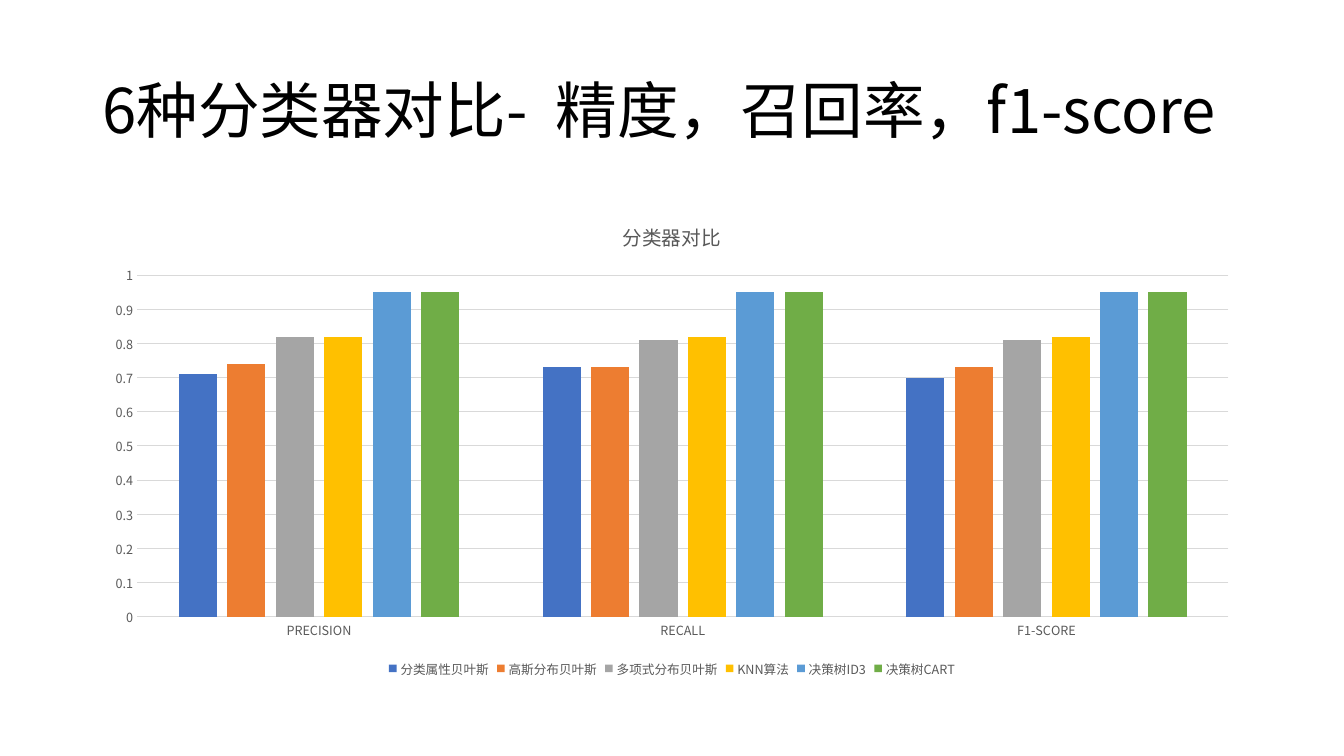
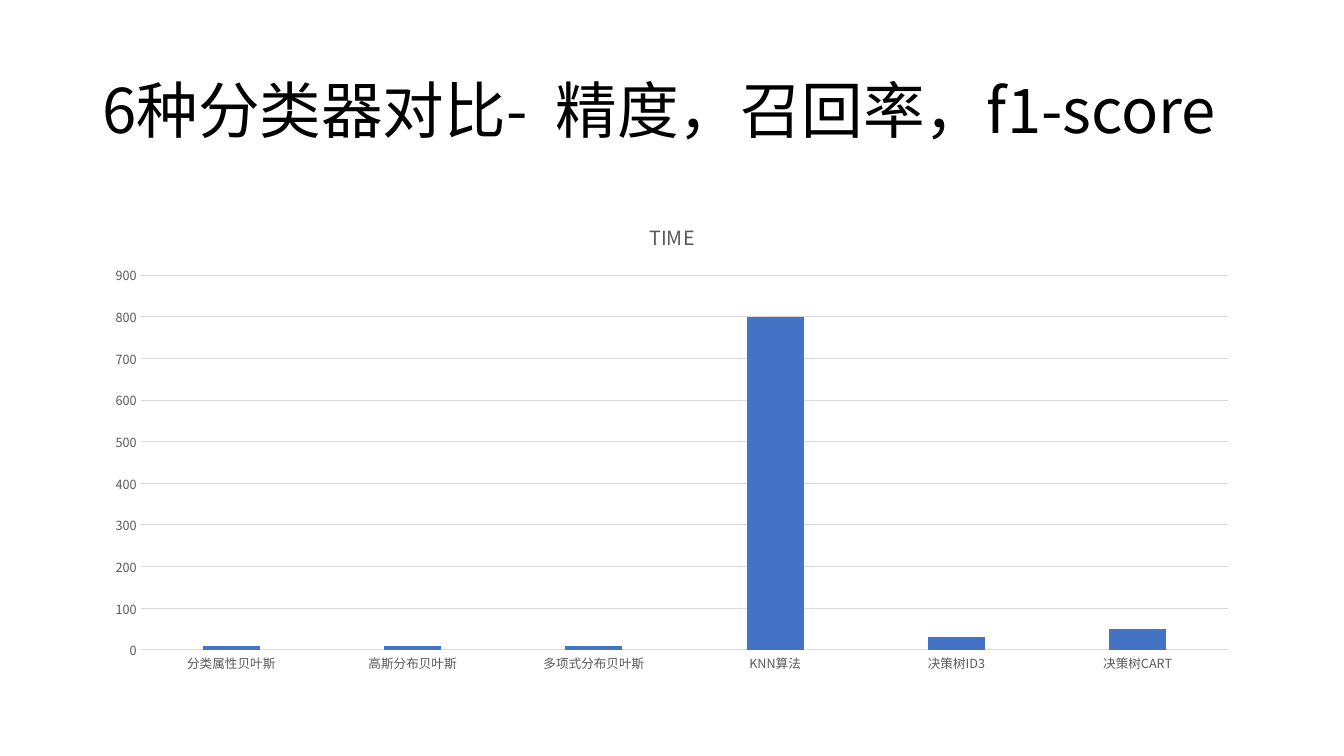
from lxml import etree
from pptx import Presentation
from pptx.chart.data import CategoryChartData
from pptx.dml.color import RGBColor
from pptx.enum.chart import XL_CHART_TYPE, XL_LEGEND_POSITION, XL_TICK_MARK
from pptx.enum.text import MSO_ANCHOR
from pptx.oxml.ns import qn
from pptx.util import Cm, Pt

COLUMN = XL_CHART_TYPE.COLUMN_CLUSTERED
BOTTOM = XL_LEGEND_POSITION.BOTTOM
NONE = XL_TICK_MARK.NONE
MIDDLE = MSO_ANCHOR.MIDDLE

FONT = "Noto Sans CJK SC"
COLOR = {
    "title": "000000", "label": "595959", "grid": "D9D9D9",
    "blue": "4472C4", "orange": "ED7D31", "gray": "A5A5A5",
    "gold": "FFC000", "sky": "5B9BD5", "green": "70AD47",
}
FILLS = ["blue", "orange", "gray", "gold", "sky", "green"]

TITLE = "6种分类器对比-  精度，召回率，f1-score"
SCORES = {
    "分类属性贝叶斯": (0.71, 0.73, 0.7),
    "高斯分布贝叶斯": (0.74, 0.73, 0.73),
    "多项式分布贝叶斯": (0.82, 0.81, 0.81),
    "KNN算法": (0.82, 0.82, 0.82),
    "决策树ID3": (0.95, 0.95, 0.95),
    "决策树CART": (0.95, 0.95, 0.95),
}
SLIDES = [
    {"head": "分类器对比", "cats": ["PRECISION", "RECALL", "F1-SCORE"],
     "series": SCORES, "top": 1, "step": 0.1, "legend": True},
    {"head": "TIME", "cats": list(SCORES),
     "series": {"TIME": (10, 10, 10, 800, 30, 50)},
     "top": 900, "step": 100, "legend": False},
]

LEFT, WIDTH = Cm(2.33), Cm(29.21)
TITLE_TOP, TITLE_HIGH = Cm(1.01), Cm(3.68)
CHART_TOP, CHART_HIGH = Cm(5.08), Cm(12.09)


def rgb(name):
    return RGBColor.from_string(COLOR[name])


def style(font, size, color):
    font.name = FONT
    font.size = Pt(size)
    font.bold = False
    font.color.rgb = rgb(color)


def set_asian(root):
    for latin in list(root.iter(qn("a:latin"))):
        east = etree.Element(qn("a:ea"), typeface=FONT)
        latin.addnext(east)


def write(frame, text, size=14, color="label", spacing=None):
    para = frame.paragraphs[0]
    para.line_spacing = spacing
    run = para.add_run()
    run.text = text
    style(run.font, size, color)


def add_title(slide):
    box = slide.shapes.add_textbox(LEFT, TITLE_TOP, WIDTH, TITLE_HIGH)
    frame = box.text_frame
    frame.word_wrap = True
    frame.vertical_anchor = MIDDLE
    write(frame, TITLE, size=44, color="title", spacing=0.9)
    set_asian(box.element)


def style_axes(chart, top, step):
    cat, val = chart.category_axis, chart.value_axis
    for axis in (cat, val):
        axis.major_tick_mark = axis.minor_tick_mark = NONE
        style(axis.tick_labels.font, 9, "label")
    val.minimum_scale, val.maximum_scale = 0, top
    val.major_unit = step
    val.format.line.fill.background()
    val.has_major_gridlines = True
    for line in (cat.format.line, val.major_gridlines.format.line):
        line.color.rgb = rgb("grid")
        line.width = Pt(0.75)


def add_bars(slide, head, cats, series, top, step, legend):
    data = CategoryChartData(number_format="General")
    data.categories = cats
    for name, vals in series.items():
        data.add_series(name, vals)
    chart = slide.shapes.add_chart(
        COLUMN, LEFT, CHART_TOP, WIDTH, CHART_HIGH, data).chart
    style(chart.font, 10, "title")
    chart.has_title = True
    chart.chart_title.include_in_layout = False
    write(chart.chart_title.text_frame, head)
    style_axes(chart, top, step)
    plot = chart.plots[0]
    plot.vary_by_categories = False
    plot.gap_width, plot.overlap = 219, -27
    for bars, fill in zip(plot.series, FILLS):
        bars.format.fill.solid()
        bars.format.fill.fore_color.rgb = rgb(fill)
    chart.has_legend = legend
    if legend:
        chart.legend.position = BOTTOM
        chart.legend.include_in_layout = False
        style(chart.legend.font, 9, "label")
    set_asian(chart.element if hasattr(chart, "element") else chart._chartSpace)


def main():
    deck = Presentation()
    deck.slide_width, deck.slide_height = Cm(33.87), Cm(19.05)
    for item in SLIDES:
        slide = deck.slides.add_slide(deck.slide_layouts[6])
        add_title(slide)
        add_bars(slide, **item)
    deck.save("out.pptx")


if __name__ == "__main__":
    main()
